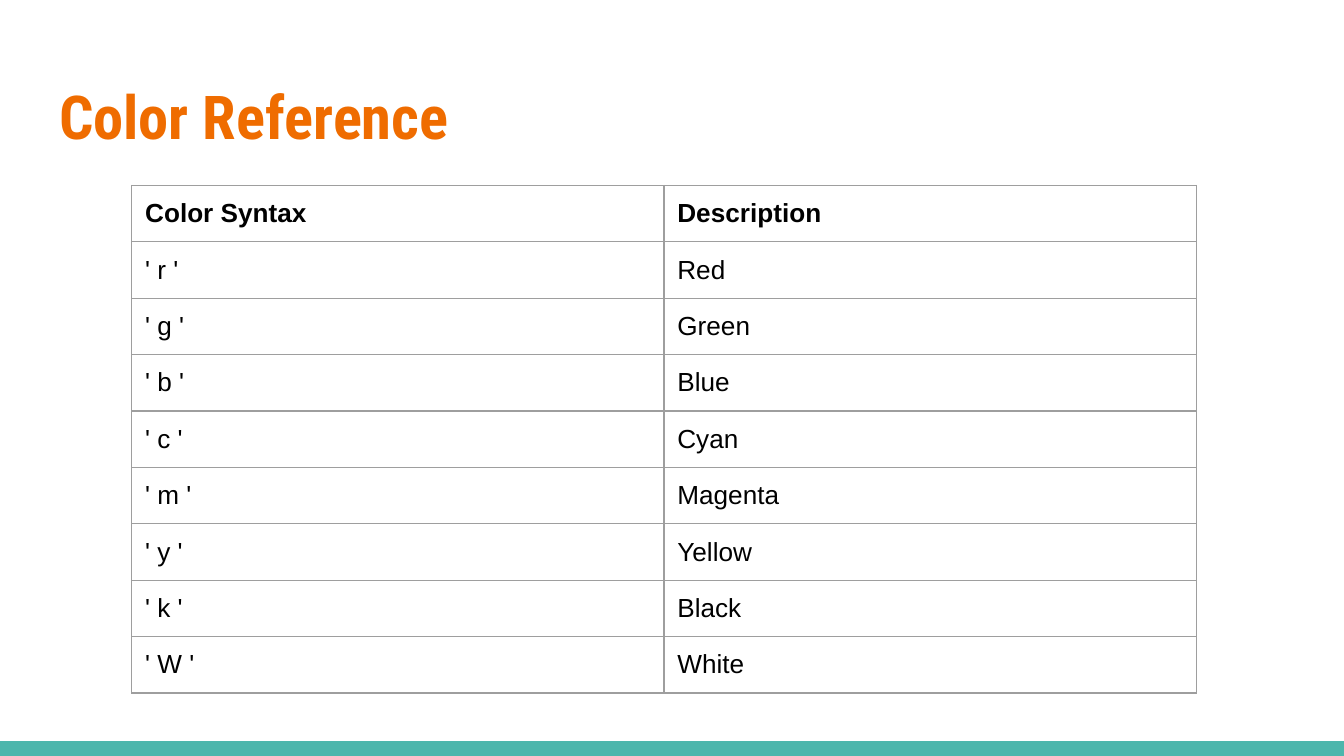
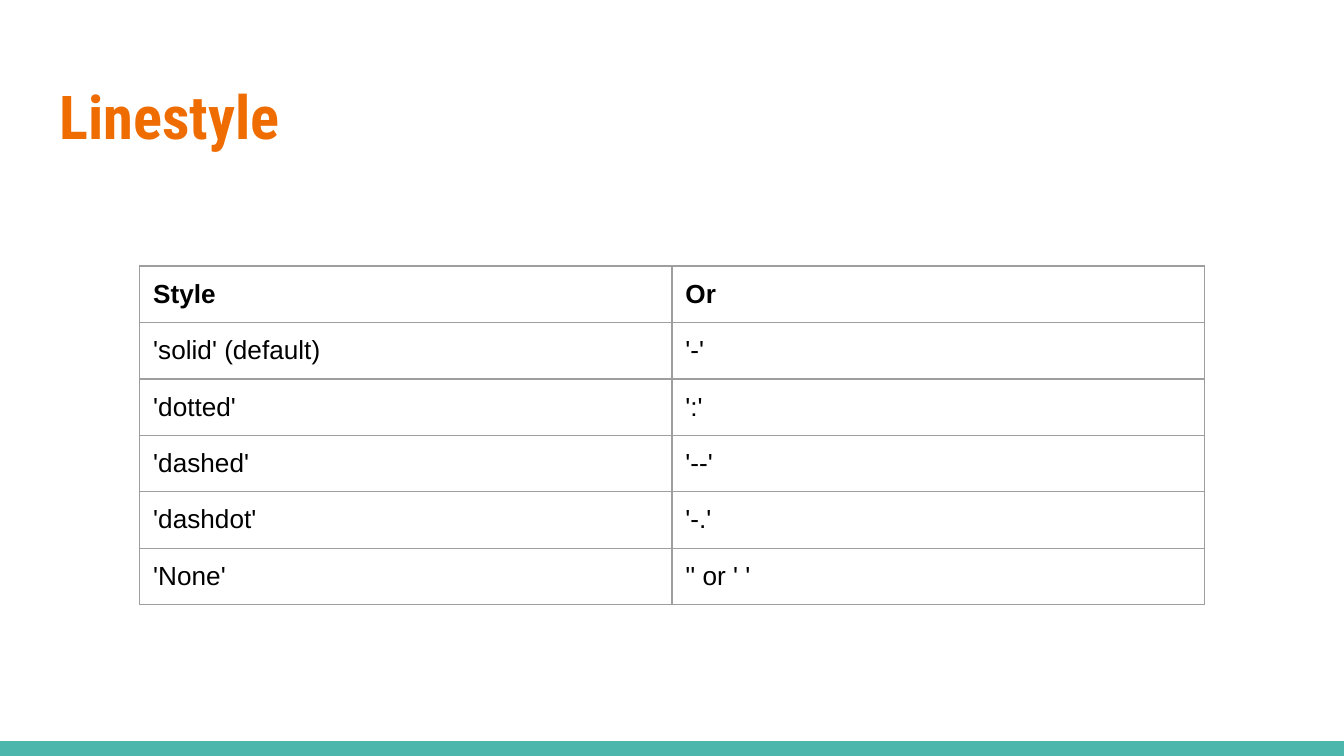
from lxml.etree import SubElement
from pptx import Presentation
from pptx.dml.color import RGBColor
from pptx.enum.shapes import MSO_SHAPE
from pptx.enum.text import MSO_ANCHOR, PP_ALIGN
from pptx.oxml.ns import qn
from pptx.util import Inches, Pt

# Shared look, on a 16:9 slide
SLIDE_WIDTH = Inches(10)
SLIDE_HEIGHT = SLIDE_WIDTH * 9 // 16
ORANGE, TEAL, GREY, BLACK, WHITE = "EF6C00", "4DB6AC", "9E9E9E", "000000", "FFFFFF"
TITLE_FONT, TABLE_FONT = "Roboto Condensed", "Arial"
INSET = Inches(0.1)
COLUMN_WIDTH, ROW_HEIGHT = Inches(3.96), Inches(0.42)
BORDER_WIDTH = Pt(0.75)

# Content, header row first
COLOR_CODES = [
    ("Color Syntax", "Description"),
    ("' r '", "Red"),
    ("' g '", "Green"),
    ("' b '", "Blue"),
    ("' c '", "Cyan"),
    ("' m '", "Magenta"),
    ("' y '", "Yellow"),
    ("' k '", "Black"),
    ("' W '", "White"),
]
LINE_STYLES = [
    ("Style", "Or"),
    ("'solid' (default)", "'-'"),
    ("'dotted'", "':'"),
    ("'dashed'", "'--'"),
    ("'dashdot'", "'-.'"),
    ("'None'", "'' or ' '"),
]


def paint(color_format, hex_color):
    color_format.rgb = RGBColor.from_string(hex_color)


def write(paragraph, text, font_name, size, hex_color, bold):
    run = paragraph.add_run()
    run.text = text
    run.font.name = font_name
    run.font.size = Pt(size)
    run.font.bold = bold
    paint(run.font.color, hex_color)


def set_insets(holder):
    holder.margin_left = holder.margin_right = INSET
    holder.margin_top = holder.margin_bottom = INSET


def add_footer_band(slide):
    height = Inches(0.11)
    band = slide.shapes.add_shape(
        MSO_SHAPE.RECTANGLE, 0, SLIDE_HEIGHT - height, SLIDE_WIDTH, height)
    band.shadow.inherit = False
    band.fill.solid()
    paint(band.fill.fore_color, TEAL)
    band.line.fill.background()


def set_title(slide, text):
    title = slide.shapes.title
    title.left, title.top = Inches(0.34), Inches(0.49)
    title.width, title.height = SLIDE_WIDTH - 2 * title.left, Inches(0.77)
    frame = title.text_frame
    set_insets(frame)
    frame.vertical_anchor = MSO_ANCHOR.TOP
    heading = frame.paragraphs[0]
    heading.alignment = PP_ALIGN.LEFT
    write(heading, text, TITLE_FONT, 32.4, ORANGE, True)


def draw_borders(cell):
    # Border lines must come before the fill in the cell properties
    properties = cell._tc.get_or_add_tcPr()
    for side in ("a:lnL", "a:lnR", "a:lnT", "a:lnB"):
        border = SubElement(properties, qn(side), w=str(BORDER_WIDTH))
        fill = SubElement(border, qn("a:solidFill"))
        SubElement(fill, qn("a:srgbClr"), val=GREY)


def add_reference_table(slide, rows, left, top):
    column_count = len(rows[0])
    table = slide.shapes.add_table(
        len(rows), column_count, Inches(left), Inches(top),
        COLUMN_WIDTH * column_count, ROW_HEIGHT * len(rows)).table
    table.horz_banding = False
    for row_index, texts in enumerate(rows):
        for column_index, text in enumerate(texts):
            cell = table.cell(row_index, column_index)
            set_insets(cell)
            draw_borders(cell)
            cell.fill.background()
            write(cell.text_frame.paragraphs[0], text,
                  TABLE_FONT, 14, BLACK, row_index == 0)


def add_reference_slide(deck, title, rows, left, top):
    slide = deck.slides.add_slide(deck.slide_layouts.get_by_name("Title Only"))
    slide.background.fill.solid()
    paint(slide.background.fill.fore_color, WHITE)
    add_footer_band(slide)
    set_title(slide, title)
    add_reference_table(slide, rows, left, top)


def main():
    deck = Presentation()
    deck.slide_width, deck.slide_height = SLIDE_WIDTH, SLIDE_HEIGHT
    add_reference_slide(deck, "Color Reference", COLOR_CODES, 0.98, 1.38)
    add_reference_slide(deck, "Linestyle", LINE_STYLES, 1.04, 1.98)
    deck.save("out.pptx")


if __name__ == "__main__":
    main()
